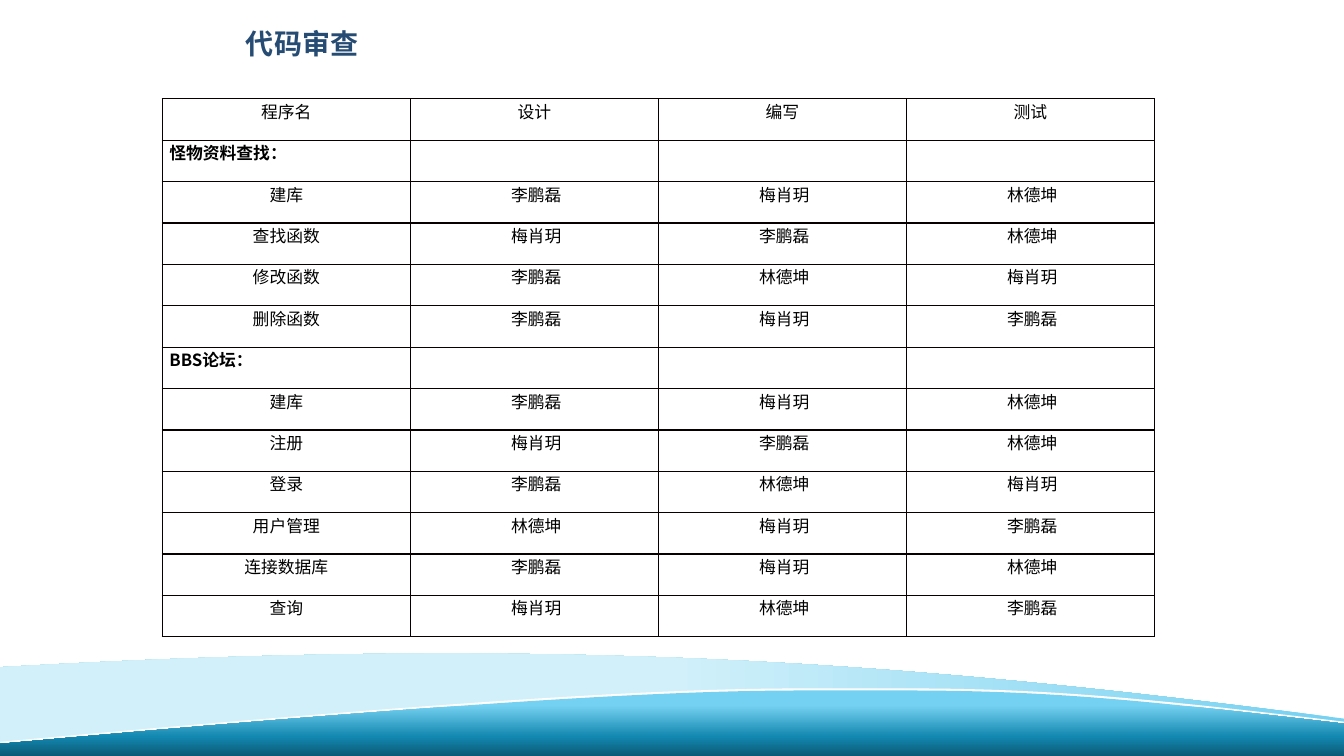
import pptx
import pptx.dml.color
import pptx.enum.text
import pptx.oxml
import pptx.oxml.ns
import pptx.util
from pptx.dml.color import RGBColor
from pptx.util import Inches

NAVY = RGBColor(0x26, 0x4C, 0x73)
BLACK = RGBColor(0x00, 0x00, 0x00)
BORDER = RGBColor(0x08, 0x00, 0x00)
WHITE = RGBColor(0xFF, 0xFF, 0xFF)
SKY = RGBColor(0x75, 0xD1, 0xF1)
PALE = RGBColor(0xD1, 0xF0, 0xFA)
OCEAN = RGBColor(0x12, 0x87, 0xAF)
DEEP = RGBColor(0x0C, 0x5A, 0x75)

CJK_FONT = "Noto Sans CJK SC"
ALIGN = pptx.enum.text.PP_ALIGN
NAMESPACE = pptx.oxml.ns.nsdecls("a")
SLIDE_WIDTH = 13.33

REVIEW_ROWS = [
    ("程序名", "设计", "编写", "测试"),
    ("怪物资料查找：", "", "", ""),
    ("建库", "李鹏磊", "梅肖玥", "林德坤"),
    ("查找函数", "梅肖玥", "李鹏磊", "林德坤"),
    ("修改函数", "李鹏磊", "林德坤", "梅肖玥"),
    ("删除函数", "李鹏磊", "梅肖玥", "李鹏磊"),
    ("BBS论坛：", "", "", ""),
    ("建库", "李鹏磊", "梅肖玥", "林德坤"),
    ("注册", "梅肖玥", "李鹏磊", "林德坤"),
    ("登录", "李鹏磊", "林德坤", "梅肖玥"),
    ("用户管理", "林德坤", "梅肖玥", "李鹏磊"),
    ("连接数据库", "李鹏磊", "梅肖玥", "林德坤"),
    ("查询", "梅肖玥", "林德坤", "李鹏磊"),
]

# Each wave starts at its first point; one more point draws a line, three a Bézier curve
BACK_WAVE = [
    [(0, 6.62)],
    [(5.92, 6.28), (9.33, 6.62), (13.33, 7.13)],
    [(13.33, 7.36), (13.33, 7.09), (13.33, 7.33)],
    [(8.72, 6.41), (4.83, 7.18), (0, 7.41)],
    [(0, 6.62)],
]
WHITE_BAND = [
    [(7.98, 6.83)],
    [(8.35, 6.83), (8.65, 6.83), (8.99, 6.83)],
    [(10.36, 6.83), (11.31, 6.92), (13.33, 7.16)],
    [(13.33, 7.26)],
    [(11.31, 7.02), (10.36, 6.93), (8.99, 6.94)],
    [(8.65, 6.94), (8.35, 6.93), (7.98, 6.93)],
    [(6.88, 6.93), (5.19, 7), (0, 7.46)],
    [(0, 7.36)],
    [(5.19, 6.89), (6.88, 6.83), (7.98, 6.83)],
]
FRONT_WAVE = [
    [(7.98, 6.85)],
    [(8.35, 6.85), (8.65, 6.85), (8.99, 6.85)],
    [(10.36, 6.85), (11.31, 6.94), (13.33, 7.18)],
    [(13.33, 7.5)],
    [(0, 7.5)],
    [(0, 7.38)],
    [(5.19, 6.91), (6.88, 6.85), (7.98, 6.85)],
]


def write_text(frame, text, *, size, color, font=CJK_FONT, bold=False,
               align=ALIGN.LEFT, line_spacing=1.0):
    paragraph = frame.paragraphs[0]
    paragraph.alignment = align
    paragraph.line_spacing = line_spacing
    paragraph.font.size = pptx.util.Pt(size)
    if not text:
        return
    run = paragraph.add_run()
    run.text = text
    run.font.name = font
    run.font.size = pptx.util.Pt(size)
    run.font.bold = bold
    run.font.color.rgb = color
    # East Asian typeface
    latin = run.font._element.find(pptx.oxml.ns.qn("a:latin"))
    latin.addnext(pptx.oxml.parse_xml(f'<a:ea {NAMESPACE} typeface="{CJK_FONT}"/>'))


class SlideBuilder:
    def __init__(self, presentation):
        self.slide = presentation.slides.add_slide(presentation.slide_layouts[5])

    def title(self, text, left, top, width, height):
        shape = self.slide.shapes.title
        shape.left, shape.top = Inches(left), Inches(top)
        shape.width, shape.height = Inches(width), Inches(height)
        frame = shape.text_frame
        frame.word_wrap = False
        frame.auto_size = pptx.enum.text.MSO_AUTO_SIZE.SHAPE_TO_FIT_TEXT
        frame.vertical_anchor = pptx.enum.text.MSO_ANCHOR.TOP
        frame.margin_left, frame.margin_right = Inches(0.11), 0
        write_text(frame, text, size=20, color=NAVY, font="Arial", bold=True, line_spacing=1.3)

    def wave(self, segments, top, bottom, color=None, stops=(), angle=0):
        # The frame of the wave spans the whole slide
        right, top, bottom = Inches(SLIDE_WIDTH), Inches(top), Inches(bottom)
        builder = self.slide.shapes.build_freeform(0, top)
        builder.add_line_segments([(right, top), (right, bottom), (0, bottom)])
        shape = builder.convert_to_shape()
        self.outline(shape, segments, top)
        shape.shadow.inherit = False
        shape.line.fill.background()
        if color is not None:
            shape.fill.solid()
            shape.fill.fore_color.rgb = color
            return
        shape.fill.gradient()
        shape.fill.gradient_angle = angle
        stop_list = next(shape._element.iter(pptx.oxml.ns.qn("a:gsLst")))
        stop_list.clear()
        for position, stop_color in stops:
            stop_list.append(pptx.oxml.parse_xml(
                f'<a:gs {NAMESPACE} pos="{position * 1000}">'
                f'<a:srgbClr val="{stop_color}"/></a:gs>'))

    def outline(self, shape, segments, top):
        outline = next(shape._element.iter(pptx.oxml.ns.qn("a:path")))
        for command in list(outline):
            outline.remove(command)
        for index, segment in enumerate(segments):
            tag = "cubicBezTo" if len(segment) == 3 else "lnTo" if index else "moveTo"
            points = "".join(
                f'<a:pt x="{Inches(x)}" y="{Inches(y) - top}"/>' for x, y in segment)
            outline.append(pptx.oxml.parse_xml(f'<a:{tag} {NAMESPACE}>{points}</a:{tag}>'))
        outline.append(pptx.oxml.parse_xml(f'<a:close {NAMESPACE}/>'))

    def table(self, rows, left, top, width, height):
        table = self.slide.shapes.add_table(
            len(rows), len(rows[0]), Inches(left), Inches(top), Inches(width), Inches(height)).table
        table.first_row = table.horz_banding = False
        for row_index, row in enumerate(rows):
            is_section = not any(row[1:])
            for column_index, text in enumerate(row):
                cell = table.cell(row_index, column_index)
                is_person = row_index > 0 and column_index > 0
                cell.margin_left = Inches(0.11 if is_person else 0.07)
                cell.margin_right = Inches(0.07)
                cell.margin_top = cell.margin_bottom = 0
                self.borders(cell)
                cell.fill.background()
                write_text(cell.text_frame, text, size=12, color=BLACK, bold=is_section,
                           align=ALIGN.LEFT if is_section else ALIGN.CENTER)

    def borders(self, cell):
        properties = cell._tc.get_or_add_tcPr()
        for side in ("lnL", "lnR", "lnT", "lnB"):
            properties.append(pptx.oxml.parse_xml(
                f'<a:{side} {NAMESPACE} w="{pptx.util.Pt(1)}">'
                f'<a:solidFill><a:srgbClr val="{BORDER}"/></a:solidFill></a:{side}>'))


def main():
    presentation = pptx.Presentation()
    presentation.slide_width = Inches(SLIDE_WIDTH)
    presentation.slide_height = Inches(7.5)
    builder = SlideBuilder(presentation)

    # Waves along the bottom edge
    builder.wave(BACK_WAVE, 6.48, 7.41, stops=[(0, SKY), (50, PALE), (100, PALE)], angle=180)
    builder.wave(WHITE_BAND, 6.83, 7.46, color=WHITE)
    builder.wave(FRONT_WAVE, 6.85, 7.5, stops=[(23, SKY), (71, OCEAN), (100, DEEP)], angle=270)

    # Title and review assignments
    builder.title("代码审查", 2.33, 0.11, 1.31, 0.54)
    builder.table(REVIEW_ROWS, 1.61, 0.98, 9.84, 5.34)

    presentation.save("out.pptx")


if __name__ == "__main__":
    main()
